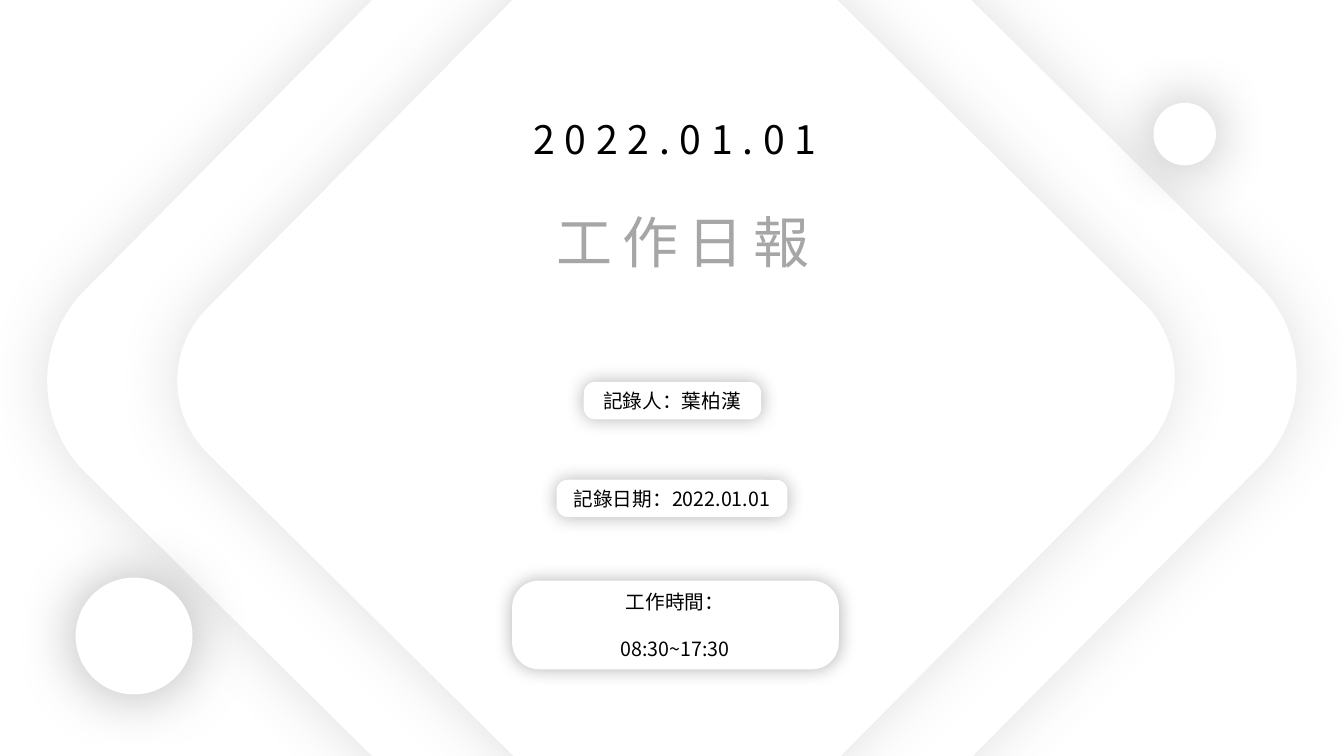
from lxml import etree
from pptx import Presentation
from pptx.dml.color import RGBColor
from pptx.enum.shapes import MSO_SHAPE as SHAPE
from pptx.enum.text import MSO_AUTO_SIZE as AUTO, PP_ALIGN as ALIGN
from pptx.oxml.ns import qn
from pptx.util import Inches, Pt

COLORS = {"white": "FFFFFF", "black": "000000", "gray": "A6A6A6", "dim": "595959"}


class Deck:
    font = "Noto Sans CJK SC"

    def __init__(self):
        self.prs = Presentation()
        self.prs.slide_width, self.prs.slide_height = Inches(13.33), Inches(7.5)
        self.s = self.prs.slides.add_slide(self.prs.slide_layouts[6])
        fill = self.s.background.fill
        fill.solid()
        fill.fore_color.rgb = RGBColor.from_string(COLORS["white"])

    def glow(self, sp, color, alpha, blur):
        sp.shadow.inherit = False
        effects = sp._element.spPr.find(qn("a:effectLst"))
        shadow = etree.SubElement(effects, qn("a:outerShdw"), blurRad=str(Pt(blur)),
                                  dist="0", dir="0", algn="ctr", rotWithShape="0")
        clr = etree.SubElement(shadow, qn("a:srgbClr"), val=COLORS[color])
        etree.SubElement(clr, qn("a:alpha"), val=str(alpha * 1000))

    def panel(self, kind, box, shadow, adj=None, rotation=0, parent=None):
        sp = (parent or self.s).shapes.add_shape(kind, *map(Inches, box))
        sp.fill.solid()
        sp.fill.fore_color.rgb = RGBColor.from_string(COLORS["white"])
        sp.line.fill.background()
        sp.rotation = rotation
        if adj is not None:
            sp.adjustments[0] = adj
        self.glow(sp, *shadow)

    def text(self, box, lines, size, color="black", spacing=0, gap=0, parent=None):
        tf = (parent or self.s).shapes.add_textbox(*map(Inches, box)).text_frame
        tf.word_wrap = True
        tf.auto_size = AUTO.SHAPE_TO_FIT_TEXT
        for i, line in enumerate(lines):
            p = tf.add_paragraph() if i else tf.paragraphs[0]
            p.text = line
            p.alignment = ALIGN.CENTER
            if i:
                p.space_before = Pt(gap)
            f = p.font
            f.size, f.name = Pt(size), self.font
            f.color.rgb = RGBColor.from_string(COLORS[color])
            etree.SubElement(f._element, qn("a:ea"), typeface=self.font)
            if spacing:
                f._element.set("spc", str(spacing * 100))

    def label(self, panel_box, text_box, lines):
        group = self.s.shapes.add_group_shape()
        self.panel(SHAPE.ROUNDED_RECTANGLE, panel_box, ("black", 30, 13), 0.302, parent=group)
        self.text(text_box, lines, 14, gap=16.8, parent=group)


def main():
    deck = Deck()
    for left, top, side in [(1.91, -1, 9.51), (2.91, -0.04, 7.59)]:
        deck.panel(SHAPE.ROUNDED_RECTANGLE, (left, top, side, side),
                   ("dim", 19, 43), 0.134, 44.7)
    deck.text((2.66, 1.09, 8.07, 0.57), ["2022.01.01"], 28, spacing=7)
    deck.text((4.4, 2.01, 4.75, 0.77), ["工作日報"], 40, "gray", 7)
    for left, top, side in [(0.75, 5.73, 1.16), (11.44, 1.02, 0.62)]:
        deck.panel(SHAPE.OVAL, (left, top, side, side), ("black", 30, 43))
    deck.label((5.79, 3.79, 1.76, 0.37), (5.62, 3.81, 2.09, 0.34), ["記錄人：葉柏漢"])
    deck.label((5.52, 4.76, 2.29, 0.37), (5.46, 4.78, 2.41, 0.34), ["記錄日期：2022.01.01"])
    deck.label((5.08, 5.76, 3.24, 0.88), (4.99, 5.8, 3.41, 0.81),
               ["工作時間：", "08:30~17:30"])
    deck.prs.save("out.pptx")


if __name__ == "__main__":
    main()
